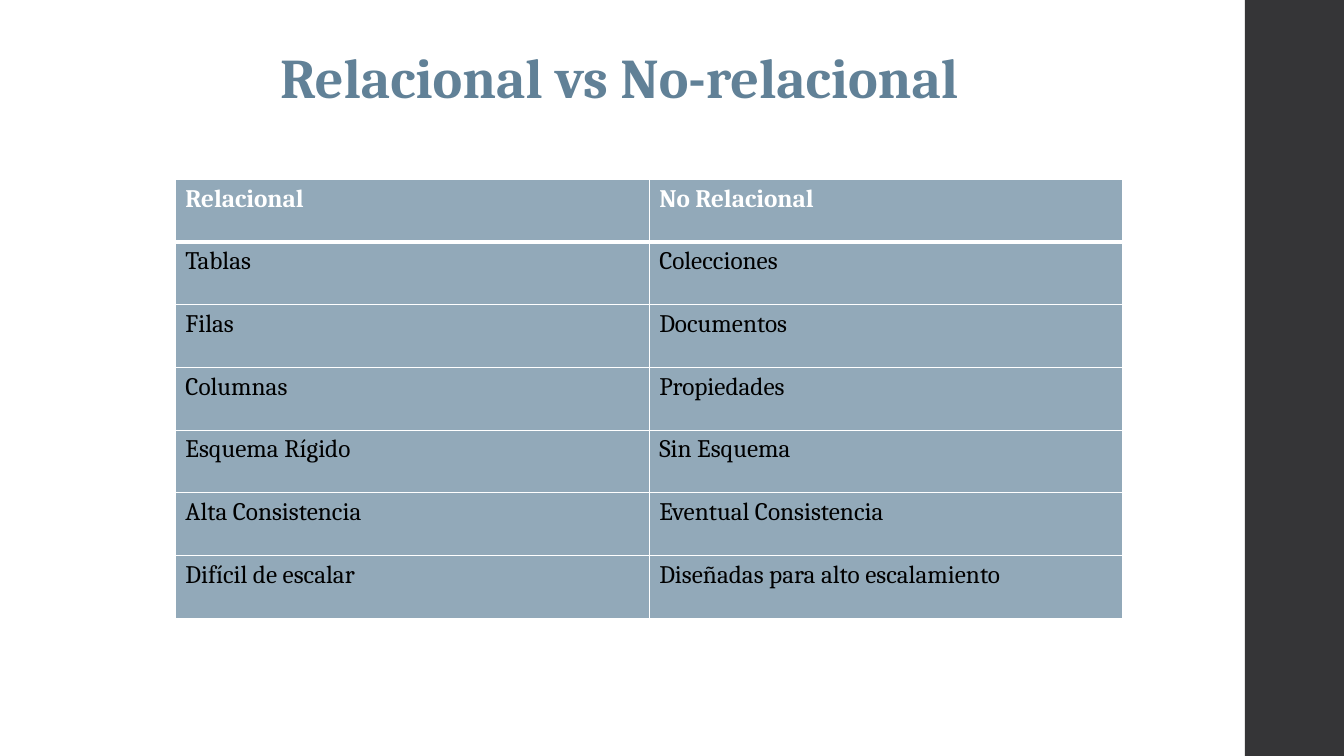
from typing import NamedTuple

from lxml import etree
from pptx import Presentation
from pptx.dml.color import RGBColor
from pptx.enum.shapes import MSO_SHAPE
from pptx.enum.text import MSO_AUTO_SIZE
from pptx.oxml.ns import qn
from pptx.util import Cm, Pt

RECTANGLE = MSO_SHAPE.RECTANGLE
FIT_SHAPE = MSO_AUTO_SIZE.SHAPE_TO_FIT_TEXT

FONT = "Cambria"
COLORS = {
    "sidebar": "353537",
    "title": "618197",
    "cell": "92A9B9",
    "white": "FFFFFF",
    "black": "000000",
}
COLUMN_WIDTH = Cm(11.94)
ROW_HEIGHT = Cm(1.58)
THIN, THICK = Pt(1), Pt(3)


class TextStyle(NamedTuple):
    size: int
    color: str
    bold: bool


class Comparison(NamedTuple):
    relational: str
    non_relational: str


TITLE_STYLE = TextStyle(40, "title", True)
HEADER_STYLE = TextStyle(18, "white", True)
BODY_STYLE = TextStyle(18, "black", False)

COMPARISONS = [
    Comparison("Relacional", "No Relacional"),
    Comparison("Tablas", "Colecciones"),
    Comparison("Filas", "Documentos"),
    Comparison("Columnas", "Propiedades"),
    Comparison("Esquema Rígido", "Sin Esquema"),
    Comparison("Alta Consistencia", "Eventual Consistencia"),
    Comparison("Difícil de escalar", "Diseñadas para alto escalamiento"),
]


def rgb(name: str) -> RGBColor:
    return RGBColor.from_string(COLORS[name])


def add_span(frame, text: str, style: TextStyle) -> None:
    span = frame.paragraphs[0].add_run()
    span.text = text
    span.font.name = FONT
    span.font.size = Pt(style.size)
    span.font.bold = style.bold
    span.font.color.rgb = rgb(style.color)


def add_borders(cell, top: int, bottom: int) -> None:
    """Draw white cell edges; must run before the cell is filled."""
    properties = cell._tc.get_or_add_tcPr()
    for side, width in (("L", THIN), ("R", THIN), ("T", top), ("B", bottom)):
        line = etree.SubElement(properties, qn(f"a:ln{side}"), w=str(width))
        fill = etree.SubElement(line, qn("a:solidFill"))
        etree.SubElement(fill, qn("a:srgbClr"), val=COLORS["white"])


def add_sidebar(page) -> None:
    sidebar = page.shapes.add_shape(RECTANGLE, Cm(31.37), 0, Cm(2.54), Cm(19.05))
    sidebar.shadow.inherit = False
    sidebar.fill.solid()
    sidebar.fill.fore_color.rgb = rgb("sidebar")
    sidebar.line.fill.background()


def add_title(page) -> None:
    box = page.shapes.add_textbox(Cm(6.81), Cm(0.94), Cm(18.34), Cm(1.96))
    box.text_frame.word_wrap = False
    box.text_frame.auto_size = FIT_SHAPE
    add_span(box.text_frame, "Relacional vs No-relacional", TITLE_STYLE)


def add_comparison_table(page) -> None:
    row_count, column_count = len(COMPARISONS), len(Comparison._fields)
    table = page.shapes.add_table(
        row_count, column_count, Cm(4.42), Cm(4.52),
        COLUMN_WIDTH * column_count, ROW_HEIGHT * row_count,
    ).table
    table.horz_banding = False
    for column in table.columns:
        column.width = COLUMN_WIDTH
    for row_index, comparison in enumerate(COMPARISONS):
        table.rows[row_index].height = ROW_HEIGHT
        style = BODY_STYLE if row_index else HEADER_STYLE
        for column_index, text in enumerate(comparison):
            cell = table.cell(row_index, column_index)
            add_borders(
                cell,
                top=THICK if row_index == 1 else THIN,
                bottom=THICK if row_index == 0 else THIN,
            )
            cell.fill.solid()
            cell.fill.fore_color.rgb = rgb("cell")
            add_span(cell.text_frame, text, style)


def main() -> None:
    deck = Presentation()
    deck.slide_width, deck.slide_height = Cm(33.87), Cm(19.05)
    page = deck.slides.add_slide(deck.slide_layouts[6])
    page.background.fill.solid()
    page.background.fill.fore_color.rgb = rgb("white")
    add_sidebar(page)
    add_title(page)
    add_comparison_table(page)
    deck.save("out.pptx")


if __name__ == "__main__":
    main()
